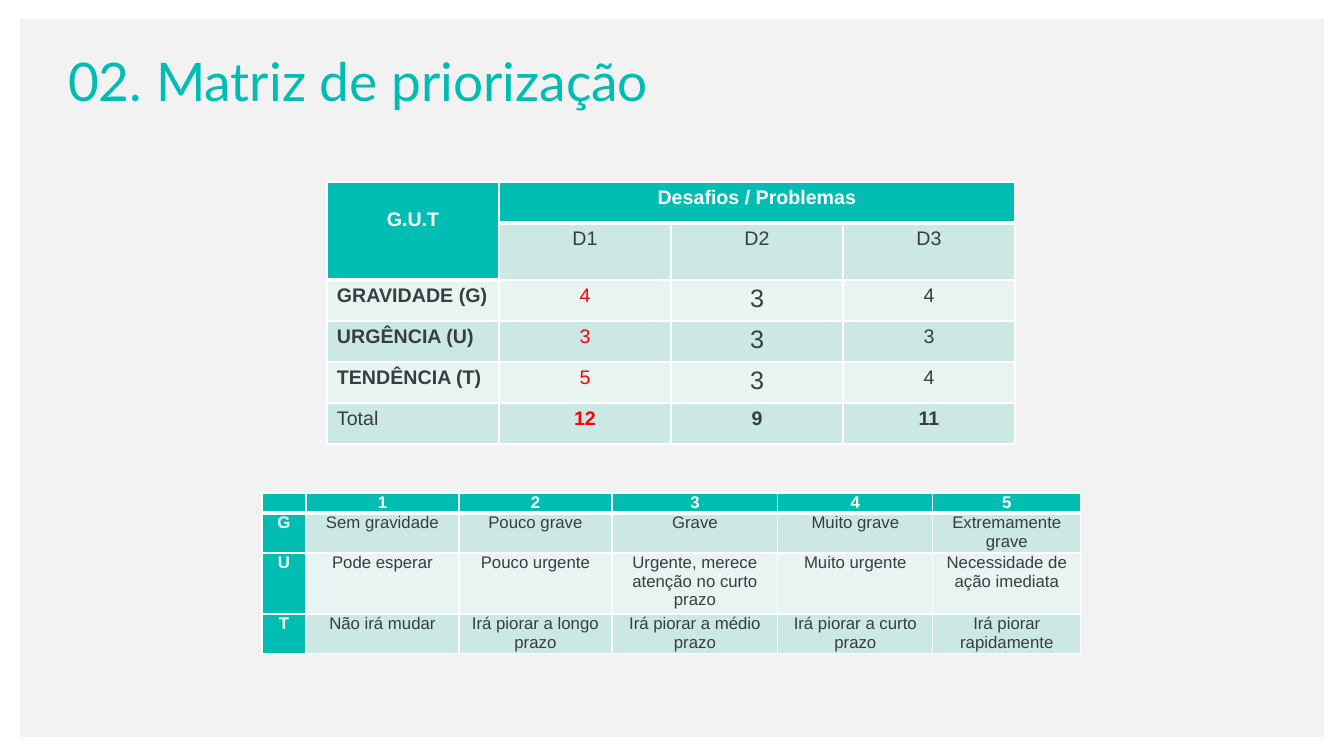
from pptx import Presentation
from pptx.dml.color import RGBColor
from pptx.enum.shapes import MSO_SHAPE
from pptx.enum.text import MSO_ANCHOR, MSO_AUTO_SIZE, PP_ALIGN
from pptx.oxml import parse_xml
from pptx.oxml.ns import nsdecls
from pptx.util import Emu, Pt

RECT = MSO_SHAPE.RECTANGLE
MIDDLE = MSO_ANCHOR.MIDDLE
NO_FIT = MSO_AUTO_SIZE.NONE
LEFT, CENTER = PP_ALIGN.LEFT, PP_ALIGN.CENTER

TEAL = RGBColor(0x00, 0xBD, 0xB3)
BAND_DARK = RGBColor(0xCC, 0xE8, 0xE5)
BAND_LIGHT = RGBColor(0xE7, 0xF4, 0xF2)
PANEL = RGBColor(0xF2, 0xF2, 0xF2)
INK = RGBColor(0x35, 0x3F, 0x40)
RED = RGBColor(0xFF, 0x00, 0x00)
WHITE = RGBColor(0xFF, 0xFF, 0xFF)

SCORES = [
    ["G.U.T", "Desafios / Problemas", "", ""],
    ["", "D1", "D2", "D3"],
    ["GRAVIDADE (G)", "4", "3", "4"],
    ["URGÊNCIA (U)", "3", "3", "3"],
    ["TENDÊNCIA (T)", "5", "3", "4"],
    ["Total", "12", "9", "11"],
]
SCALE = [
    ["", "1", "2", "3", "4", "5"],
    ["G", "Sem gravidade", "Pouco grave", "Grave", "Muito grave",
     "Extremamente grave"],
    ["U", "Pode esperar", "Pouco urgente",
     "Urgente, merece atenção no curto prazo", "Muito urgente",
     "Necessidade de ação imediata"],
    ["T", "Não irá mudar", "Irá piorar a longo prazo",
     "Irá piorar a médio prazo", "Irá piorar a curto prazo",
     "Irá piorar rapidamente"],
]


def px(n):
    return Emu(round(n * 914400 / 100.8))


def set_attrs(obj, values):
    for name, value in values.items():
        setattr(obj, name, value)


def set_borders(cell, widths):
    """Give the cell white borders; widths are points for L, R, T, B."""
    tcPr = cell._tc.get_or_add_tcPr()
    for i, (side, width) in enumerate(zip("LRTB", widths)):
        tcPr.insert(i, parse_xml(
            f'<a:ln{side} {nsdecls("a")} w="{Pt(width)}"><a:solidFill>'
            f'<a:srgbClr val="{WHITE}"/></a:solidFill></a:ln{side}>'))


def score_format(r, c):
    """Return alignment and font values for a cell of the score table."""
    head = r == 0 or (r, c) == (1, 0)
    score = 2 <= r <= 4
    font = {
        "size": Pt(18 if score and c == 2 else 14),
        "bold": head or (score and c == 0) or (r == 5 and c > 0),
    }
    color = WHITE if head else RED if r >= 2 and c == 1 else INK
    return LEFT if r >= 2 and c == 0 else CENTER, font, color


def scale_format(r, c):
    """Return alignment and font values for a cell of the scale table."""
    head = r == 0 or c == 0
    return CENTER, {"size": Pt(12), "bold": head}, WHITE if head else INK


class SlideBuilder:
    title_font = {"name": "Lato", "size": Pt(38), "bold": False}
    table_font = "Arial"

    def __init__(self, prs):
        self.s = prs.slides.add_slide(prs.slide_layouts[5])

    def panel(self, x, y, w, h):
        sp = self.s.shapes.add_shape(RECT, px(x), px(y), px(w), px(h))
        sp.shadow.inherit = False
        sp.fill.solid()
        sp.fill.fore_color.rgb = PANEL
        sp.line.fill.background()
        self.s.shapes._spTree.insert(2, sp._element)

    def title(self, text, x, y, w, h):
        sp = self.s.shapes.title
        set_attrs(sp, {"left": px(x), "top": px(y),
                       "width": px(w), "height": px(h)})
        tf = sp.text_frame
        tf.text = text
        set_attrs(tf, {"word_wrap": True, "auto_size": NO_FIT,
                       "vertical_anchor": MIDDLE})
        p = tf.paragraphs[0]
        p.alignment = LEFT
        set_attrs(p.font, self.title_font)
        p.font.color.rgb = TEAL

    def table(self, x, y, cols, rows, texts, cell_format, head_rows, margins):
        """Add a banded table; head_rows counts the header rows per column."""
        frame = self.s.shapes.add_table(len(rows), len(cols), px(x), px(y),
                                        px(sum(cols)), px(sum(rows)))
        table = frame.table
        for col, width in zip(table.columns, cols):
            col.width = px(width)
        for row, height in zip(table.rows, rows):
            row.height = px(height)
        for r, line in enumerate(texts):
            for c, text in enumerate(line):
                cell = table.cell(r, c)
                align, font, color = cell_format(r, c)
                side, edge = margins
                set_attrs(cell, {
                    "text": text,
                    "margin_left": px(side), "margin_right": px(side),
                    "margin_top": px(edge), "margin_bottom": px(edge)})
                p = cell.text_frame.paragraphs[0]
                p.alignment = align
                set_attrs(p.font, {"name": self.table_font, **font})
                p.font.color.rgb = color
                cell.fill.solid()
                band = BAND_DARK if r % 2 else BAND_LIGHT
                cell.fill.fore_color.rgb = TEAL if color == WHITE else band
                set_borders(cell, (1, 1, 3 if r == head_rows[c] else 1,
                                   3 if r < head_rows[c] else 1))
        return table


def main():
    prs = Presentation()
    set_attrs(prs, {"slide_width": px(1344), "slide_height": px(756)})
    slide = SlideBuilder(prs)
    slide.panel(20, 19, 1304, 718)
    slide.title("02. Matriz de priorização", 58, 43, 930, 75)

    scores = slide.table(327, 182, [172] * 4, [41, 57] + [41] * 4, SCORES,
                         score_format, [2, 1, 1, 1], (10, 5))
    scores.cell(0, 0).merge(scores.cell(1, 0))
    scores.cell(0, 1).merge(scores.cell(0, 3))
    scores.cell(0, 0).margin_top = px(27)

    slide.table(262, 493, [44, 153, 153, 166, 155, 148], [20, 40, 61, 40],
                SCALE, scale_format, [1] * 6, (7, 0))
    prs.save("out.pptx")


if __name__ == "__main__":
    main()
